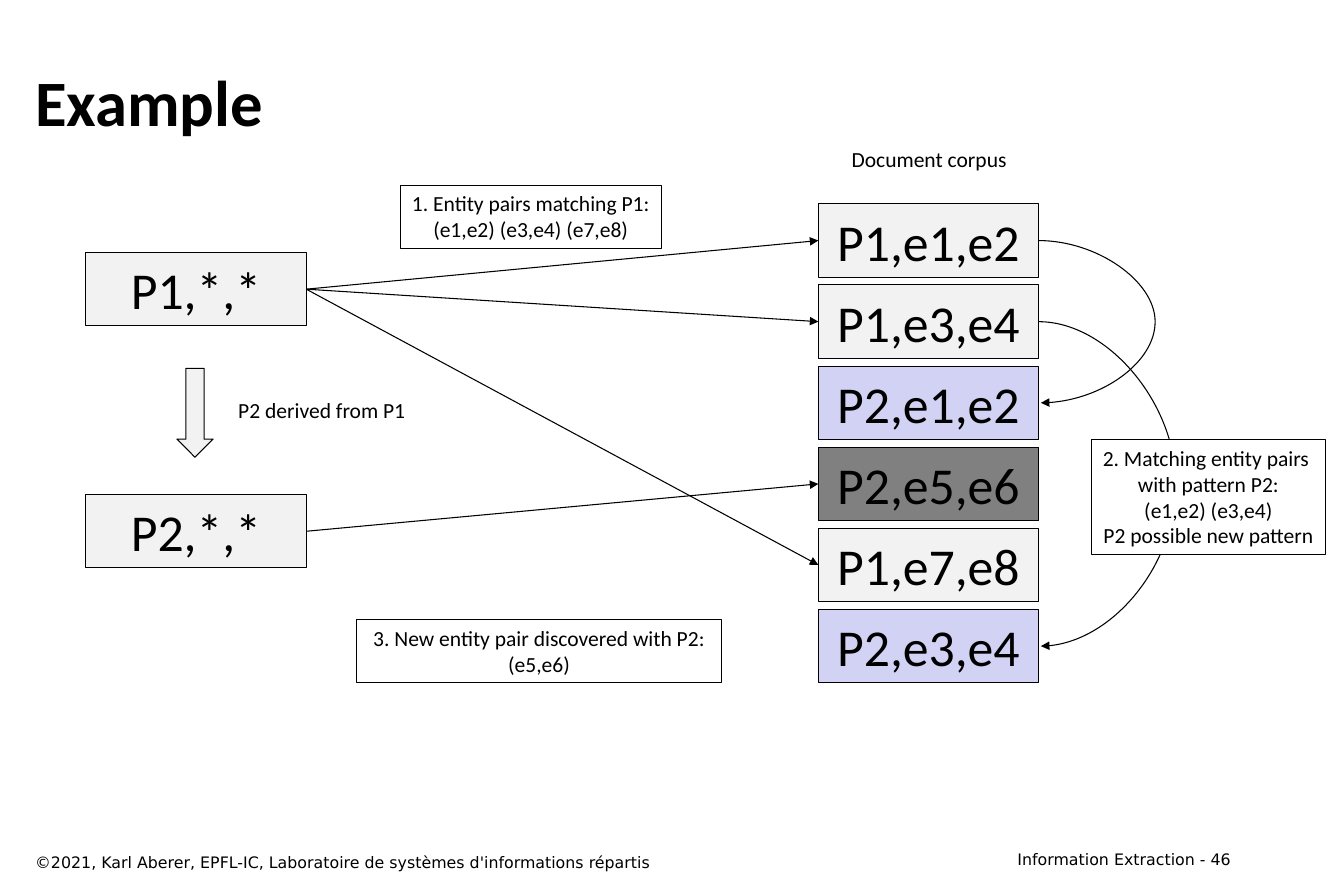
"""Build the slide on entity pairs and patterns found in a document corpus."""
from lxml import etree
from pptx import Presentation
from pptx import util as u
from pptx.dml.color import RGBColor
from pptx.enum import shapes, text
from pptx.oxml import ns

BLACK, WHITE, PALE, LILAC, GREY = "000000", "FFFFFF", "F2F2F2", "D2D2F4", "808080"
CARD_W, CARD_H = 2.13, 0.71
PATTERN_X, CORPUS_X = 0.83, 7.91
CORPUS_TOP, CORPUS_STEP = 1.97, 0.784
RIGHT, LEFT = 3, 1

deck = Presentation()
deck.slide_width, deck.slide_height = u.Inches(12.99), u.Inches(8.66)
slide = deck.slides.add_slide(deck.slide_layouts[5])


def write(part, lines, size, align, font="Calibri", bold=False):
    """Fill a part with paragraphs; a newline inside one is a line break."""
    frame = part.text_frame
    for i, line in enumerate(lines):
        paragraph = frame.paragraphs[0] if i == 0 else frame.add_paragraph()
        paragraph.alignment = align
        for j, piece in enumerate(line.split("\n")):
            if j:
                paragraph.add_line_break()
            run = paragraph.add_run()
            run.text = piece
            run.font.size, run.font.name, run.font.bold = u.Pt(size), font, bold
            run.font.color.rgb = RGBColor.from_string(BLACK)


def paint(part, fill=None):
    """Give a shape or connector its black outline, and a shape its fill."""
    part.line.color.rgb = RGBColor.from_string(BLACK)
    part.line.width = u.Pt(0.75)
    if fill:
        part.shadow.inherit = False
        part.fill.solid()
        part.fill.fore_color.rgb = RGBColor.from_string(fill)


title = slide.shapes.title
title.left, title.top, title.width, title.height = map(u.Inches, (0.22, 0.39, 11.8, 1.16))
title.text_frame.auto_size = text.MSO_AUTO_SIZE.NONE
title.text_frame.vertical_anchor = text.MSO_ANCHOR.MIDDLE
title.text_frame.margin_left = title.text_frame.margin_right = u.Inches(0.12)
write(title, ["Example"], 45, text.PP_ALIGN.LEFT, bold=True)

footers = [
    (9.31, 8.15, 2.71, "Information Extraction - 46", text.PP_ALIGN.RIGHT),
    (0.22, 8.18, 8.34, "©2021, Karl Aberer, EPFL-IC, Laboratoire de systèmes d'informations répartis",
     text.PP_ALIGN.LEFT),
]
for x, y, width, wording, align in footers:
    footer = slide.shapes.add_textbox(*map(u.Inches, (x, y, width, 0.29)))
    frame = footer.text_frame
    frame.word_wrap = True
    frame.margin_left = frame.margin_right = u.Inches(0.12)
    frame.margin_top = frame.margin_bottom = u.Inches(0.06)
    write(footer, [wording], 11, align, "DejaVu Sans")

corpus = [("P1,e1,e2", PALE), ("P1,e3,e4", PALE), ("P2,e1,e2", LILAC),
          ("P2,e5,e6", GREY), ("P1,e7,e8", PALE), ("P2,e3,e4", LILAC)]
cards = [(PATTERN_X, 2.44, "P1,*,*", PALE), (PATTERN_X, 4.78, "P2,*,*", PALE)]
cards += [(CORPUS_X, CORPUS_TOP + row * CORPUS_STEP, wording, fill)
          for row, (wording, fill) in enumerate(corpus)]
boxes = {}
for x, y, wording, fill in cards:
    card = slide.shapes.add_shape(shapes.MSO_SHAPE.RECTANGLE, *map(u.Inches, (x, y, CARD_W, CARD_H)))
    paint(card, fill)
    card.text_frame.vertical_anchor = text.MSO_ANCHOR.MIDDLE
    write(card, [wording], 36, text.PP_ALIGN.CENTER)
    boxes[wording] = card

arrows = []
for pattern, document in [("P1,*,*", "P1,e1,e2"), ("P1,*,*", "P1,e3,e4"),
                          ("P1,*,*", "P1,e7,e8"), ("P2,*,*", "P2,e5,e6")]:
    match = slide.shapes.add_connector(shapes.MSO_CONNECTOR.STRAIGHT, 0, 0, 0, 0)
    match.begin_connect(boxes[pattern], RIGHT)
    match.end_connect(boxes[document], LEFT)
    arrows.append(match)

corpus_right, curve_w = CORPUS_X + CARD_W, 0.02
for first, last, bulge in [(0, 2, 1.12), (1, 5, 1.32)]:
    start, end = (CORPUS_TOP + row * CORPUS_STEP + CARD_H / 2 for row in (first, last))
    same_pair = slide.shapes.add_connector(
        shapes.MSO_CONNECTOR.CURVE,
        *map(u.Inches, (corpus_right, start, corpus_right + curve_w, end)))
    guides = same_pair._element.spPr.find(ns.qn("a:prstGeom")).get_or_add_avLst()
    etree.SubElement(guides, ns.qn("a:gd"), name="adj1",
                     fmla=f"val {round(bulge / curve_w * 100000)}")
    arrows.append(same_pair)

for arrow in arrows:
    paint(arrow)
    etree.SubElement(arrow.line._get_or_add_ln(), ns.qn("a:tailEnd"), type="triangle")
    etree.SubElement(arrow._element.spPr, ns.qn("a:effectLst"))

derivation = slide.shapes.add_shape(shapes.MSO_SHAPE.DOWN_ARROW, *map(u.Inches, (1.71, 3.56, 0.35, 0.86)))
paint(derivation, PALE)

notes = [
    (3.87, 1.79, 2.52, 0.61, True, ["1. Entity pairs matching P1:", "(e1,e2) (e3,e4) (e7,e8)"]),
    (10.55, 4.25, 2.26, 1.11, True, ["2. Matching entity pairs \nwith pattern P2:",
                                     "(e1,e2) (e3,e4)", "P2 possible new pattern"]),
    (3.45, 5.99, 3.52, 0.61, True, ["3. New entity pair discovered with P2:", "(e5,e6)"]),
    (2.19, 3.79, 1.84, 0.35, False, ["P2 derived from P1"]),
    (8.12, 1.36, 1.72, 0.35, False, ["Document corpus"]),
]
for x, y, width, height, framed, lines in notes:
    note = slide.shapes.add_textbox(*map(u.Inches, (x, y, width, height)))
    note.text_frame.word_wrap = False
    note.text_frame.auto_size = text.MSO_AUTO_SIZE.SHAPE_TO_FIT_TEXT
    if framed:
        paint(note, WHITE)
    write(note, lines, 15, text.PP_ALIGN.CENTER)

deck.save("out.pptx")
